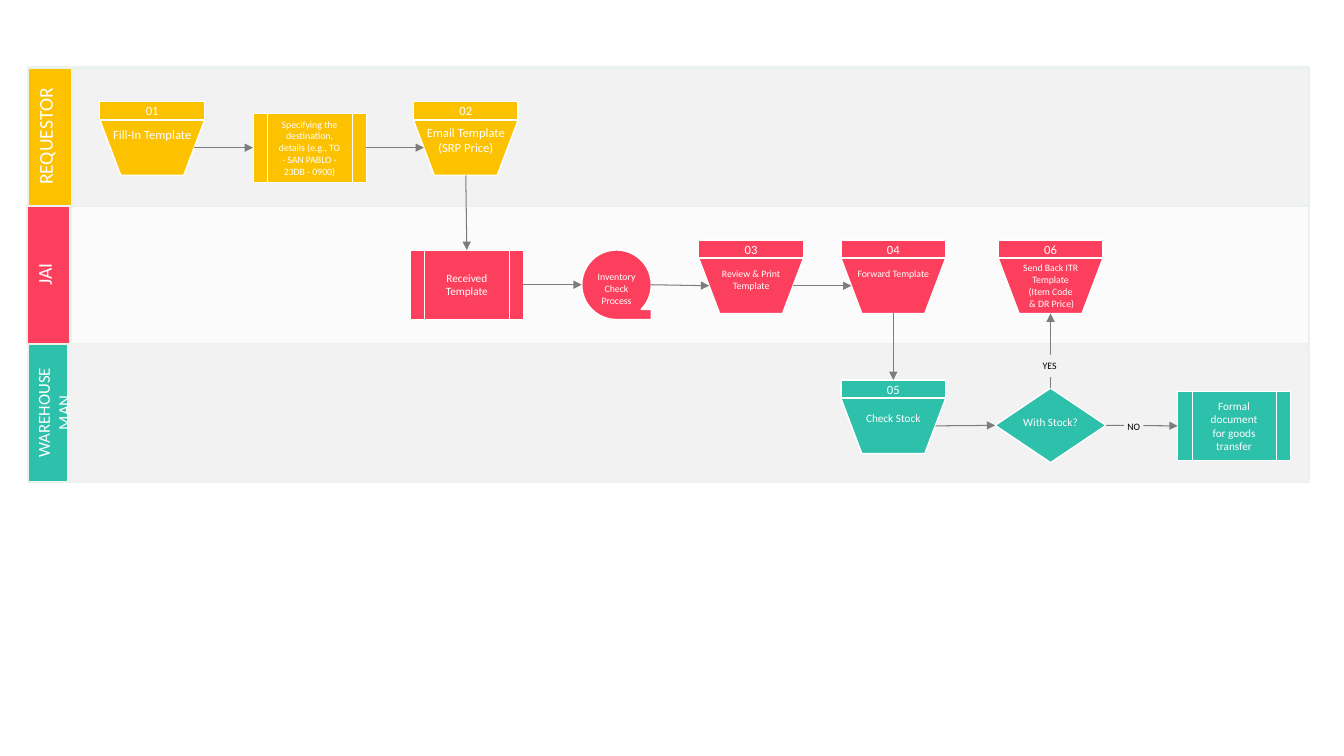
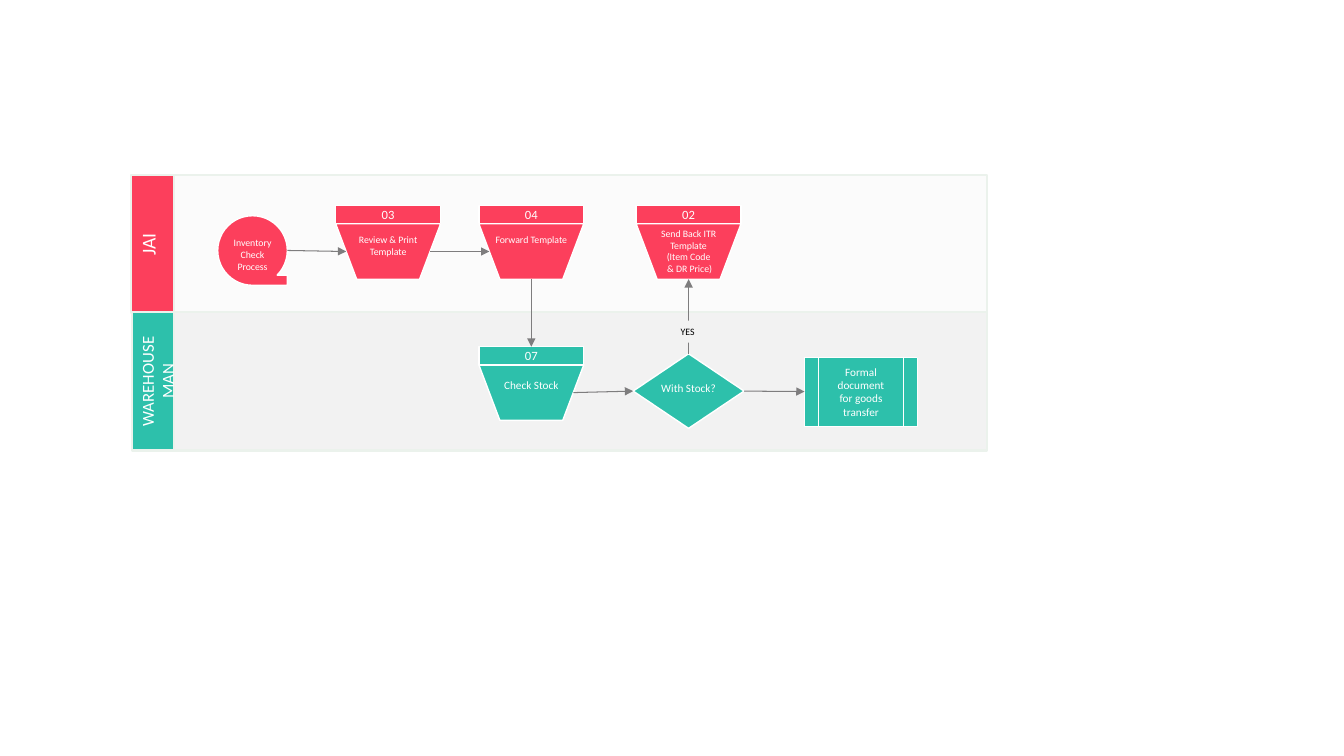
from dataclasses import dataclass
from enum import IntEnum

from lxml.etree import SubElement
from pptx import Presentation
from pptx.dml.color import RGBColor
from pptx.enum.shapes import MSO_CONNECTOR, MSO_SHAPE
from pptx.enum.text import MSO_ANCHOR, PP_ALIGN
from pptx.oxml.ns import qn
from pptx.util import Inches, Pt

FONT = "Calibri"
YELLOW = RGBColor(0xFC, 0xC2, 0x00)
RED = RGBColor(0xFC, 0x3F, 0x5C)
TEAL = RGBColor(0x2D, 0xC0, 0xAB)
WHITE = RGBColor(0xFF, 0xFF, 0xFF)
BLACK = RGBColor(0x00, 0x00, 0x00)
GRAY = RGBColor(0x7E, 0x7D, 0x7E)
LANE_EDGE = RGBColor(0xEB, 0xF2, 0xEC)
LANE_GRAY = RGBColor(0xF2, 0xF2, 0xF2)
LANE_LIGHT = RGBColor(0xFB, 0xFB, 0xFB)

STEP = MSO_SHAPE.FLOWCHART_MANUAL_OPERATION
PROCESS = MSO_SHAPE.FLOWCHART_PREDEFINED_PROCESS
TAPE = MSO_SHAPE.FLOWCHART_SEQUENTIAL_ACCESS_STORAGE
DECISION = MSO_SHAPE.FLOWCHART_DECISION

NODE_SIZE = {STEP: (1.04, 0.55), PROCESS: (1.12, 0.69),
             TAPE: (0.69, 0.69), DECISION: (1.1, 0.74)}
HEADER_HEIGHT = 0.18
LANE_HEIGHT = 1.37


class Side(IntEnum):
    """Connection sites, in the order the preset shapes number them."""
    TOP = 0
    LEFT = 1
    BOTTOM = 2
    RIGHT = 3


@dataclass
class Lane:
    name: str
    color: RGBColor
    back: RGBColor
    size: float
    top: float
    label_left: float
    label_width: float
    band_left: float
    band_right: float


@dataclass
class Node:
    """A flowchart symbol; text_drop moves its caption below its top edge."""
    key: str
    kind: MSO_SHAPE
    left: float
    top: float
    color: RGBColor
    lines: list[str]
    size: float
    text_drop: float = 0
    number: str = ""

    def site(self, side: Side):
        width, height = NODE_SIZE[self.kind]
        slant = width / 10 if self.kind == STEP else 0
        header = HEADER_HEIGHT if self.number else 0
        middle_x, middle_y = self.left + width / 2, self.top + height / 2
        return {Side.TOP: (middle_x, self.top - header),
                Side.LEFT: (self.left + slant, middle_y),
                Side.BOTTOM: (middle_x, self.top + height),
                Side.RIGHT: (self.left + width - slant, middle_y)}[side]


@dataclass
class Arrow:
    start: str
    end: str
    start_side: Side = Side.RIGHT
    end_side: Side = Side.LEFT


@dataclass
class Tag:
    text: str
    left: float
    top: float
    width: float
    inset: float = 0.1


@dataclass
class Flow:
    lanes: list[Lane]
    nodes: list[Node]
    arrows: list[Arrow]
    tags: list[Tag]


def write(shape, lines: list[str], size: float, color: RGBColor = WHITE,
          anchor=MSO_ANCHOR.TOP, inset: float = 0.1) -> None:
    frame = shape.text_frame
    frame.word_wrap = True
    frame.vertical_anchor = anchor
    frame.margin_left = frame.margin_right = Inches(inset)
    for index, line in enumerate(lines):
        para = frame.add_paragraph() if index else frame.paragraphs[0]
        para.alignment = PP_ALIGN.CENTER
        span = para.add_run()
        span.text = line
        span.font.name = FONT
        span.font.size = Pt(size)
        span.font.color.rgb = color


def add_box(page, kind, left: float, top: float, width: float, height: float,
            fill: RGBColor, edge: RGBColor | None = None, weight: float = 1):
    box = page.shapes.add_shape(kind, Inches(left), Inches(top),
                                Inches(width), Inches(height))
    box.shadow.inherit = False
    box.fill.solid()
    box.fill.fore_color.rgb = fill
    if edge is None:
        box.line.fill.background()
    else:
        box.line.color.rgb = edge
        box.line.width = Pt(weight)
    return box


def add_lane(page, lane: Lane) -> None:
    add_box(page, MSO_SHAPE.RECTANGLE, lane.band_left, lane.top,
            lane.band_right - lane.band_left, LANE_HEIGHT,
            lane.back, LANE_EDGE, 1.5)
    label = add_box(page, MSO_SHAPE.RECTANGLE, lane.label_left, lane.top,
                    lane.label_width, LANE_HEIGHT, lane.color, LANE_EDGE, 1.5)
    write(label, [lane.name], lane.size)
    label.element.find(".//" + qn("a:bodyPr")).set("vert", "vert270")


def add_node(page, node: Node):
    """Draws the symbol and returns the shapes its four sites belong to."""
    width, height = NODE_SIZE[node.kind]
    weight = 0.25 if node.kind == PROCESS else 1
    body = add_box(page, node.kind, node.left, node.top, width, height,
                   node.color, WHITE, weight)
    owners = {side: body for side in Side}
    if node.number:
        header = add_box(page, MSO_SHAPE.RECTANGLE, node.left,
                         node.top - HEADER_HEIGHT, width, HEADER_HEIGHT,
                         node.color, WHITE)
        header.text_frame.margin_top = header.text_frame.margin_bottom = 0
        write(header, [node.number], 9, anchor=MSO_ANCHOR.MIDDLE)
        owners[Side.TOP] = header
    if node.kind == PROCESS:
        write(body, node.lines, node.size, anchor=MSO_ANCHOR.MIDDLE)
    else:
        caption = page.shapes.add_textbox(
            Inches(node.left), Inches(node.top + node.text_drop),
            Inches(width), Inches(height - node.text_drop))
        write(caption, node.lines, node.size)
    return owners


def add_arrow(page, arrow: Arrow, nodes: dict[str, Node], owners: dict) -> None:
    begin = [Inches(v) for v in nodes[arrow.start].site(arrow.start_side)]
    end = [Inches(v) for v in nodes[arrow.end].site(arrow.end_side)]
    line = page.shapes.add_connector(MSO_CONNECTOR.STRAIGHT, *begin, *end)
    line.begin_connect(owners[arrow.start][arrow.start_side], arrow.start_side)
    line.end_connect(owners[arrow.end][arrow.end_side], arrow.end_side)
    # Slanted sides meet the line inside the bounding box
    line.begin_x, line.begin_y = begin
    line.end_x, line.end_y = end
    line.line.color.rgb = GRAY
    line.line.width = Pt(0.75)
    properties = line.element.spPr
    SubElement(properties.find(qn("a:ln")), qn("a:tailEnd"), type="triangle")
    SubElement(properties, qn("a:effectLst"))


def add_flow(deck, flow: Flow) -> None:
    page = deck.slides.add_slide(deck.slide_layouts[6])
    for lane in flow.lanes:
        add_lane(page, lane)
    nodes = {node.key: node for node in flow.nodes}
    owners = {key: add_node(page, node) for key, node in nodes.items()}
    for arrow in flow.arrows:
        add_arrow(page, arrow, nodes, owners)
    for tag in flow.tags:
        box = add_box(page, MSO_SHAPE.RECTANGLE, tag.left, tag.top,
                      tag.width, 0.22, LANE_GRAY)
        write(box, [tag.text], 7, BLACK, inset=tag.inset)


# Symbols and arrows that both flows use
def inventory(left: float, top: float) -> Node:
    return Node("inventory", TAPE, left, top, RED,
                ["Inventory Check Process"], 7, 0.16)


def review(left: float, top: float) -> Node:
    return Node("review", STEP, left, top, RED,
                ["Review & Print", "Template"], 7, 0.05, "03")


def forward(left: float, top: float) -> Node:
    return Node("forward", STEP, left, top, RED,
                ["Forward Template"], 7, 0.05, "04")


def send_back(left: float, top: float, number: str) -> Node:
    return Node("send", STEP, left, top, RED,
                ["Send Back ITR", "Template", "(Item Code", " & DR Price)"],
                7, -0.01, number)


def check(left: float, top: float, number: str) -> Node:
    return Node("check", STEP, left, top, TEAL,
                ["Check Stock"], 8, 0.08, number)


def stock(left: float, top: float) -> Node:
    return Node("stock", DECISION, left, top, TEAL, ["With Stock?"], 8, 0.22)


def transfer(left: float, top: float) -> Node:
    return Node("transfer", PROCESS, left, top, TEAL,
                ["Formal document", "for goods transfer"], 8)


SHARED_ARROWS = [
    Arrow("inventory", "review"),
    Arrow("review", "forward"),
    Arrow("forward", "check", Side.BOTTOM, Side.TOP),
    Arrow("check", "stock"),
    Arrow("stock", "send", Side.TOP, Side.BOTTOM),
    Arrow("stock", "transfer"),
]

FULL_FLOW = Flow(
    lanes=[
        Lane("REQUESTOR", YELLOW, LANE_GRAY, 14, 0.67, 0.28, 0.44, 0.35, 12.98),
        Lane("JAI", RED, LANE_LIGHT, 14, 2.04, 0.27, 0.43, 0.34, 12.98),
        Lane("WAREHOUSE MAN", TEAL, LANE_GRAY, 12, 3.41, 0.28, 0.4, 0.35, 12.98),
    ],
    nodes=[
        Node("fill", STEP, 0.99, 1.19, YELLOW, ["Fill-In Template"], 9, 0.02, "01"),
        Node("details", PROCESS, 2.51, 1.12, YELLOW,
             ["Specifying the destination, details "
              "(e.g., TO - SAN PABLO - 23DB - 0900)"], 7),
        Node("email", STEP, 4.1, 1.19, YELLOW,
             ["Email Template", "(SRP Price)"], 9, 0, "02"),
        Node("received", PROCESS, 4.07, 2.48, RED, ["Received Template"], 8),
        inventory(5.77, 2.48), review(6.93, 2.56), forward(8.34, 2.56),
        send_back(9.9, 2.56, "06"), check(8.34, 3.95, "05"),
        stock(9.87, 3.85), transfer(11.68, 3.88),
    ],
    arrows=[
        Arrow("fill", "details"),
        Arrow("details", "email"),
        Arrow("email", "received", Side.BOTTOM, Side.TOP),
        Arrow("received", "inventory"),
        *SHARED_ARROWS,
    ],
    tags=[Tag("YES", 10.2, 3.52, 0.42), Tag("NO", 11.15, 4.12, 0.19, 0)],
)

STOCK_FLOW = Flow(
    lanes=[
        Lane("JAI", RED, LANE_LIGHT, 14, 1.74, 1.3, 0.43, 1.37, 9.79),
        Lane("WAREHOUSE MAN", TEAL, LANE_GRAY, 12, 3.1, 1.31, 0.42, 1.38, 9.79),
    ],
    nodes=[
        inventory(2.16, 2.14), review(3.33, 2.22), forward(4.75, 2.22),
        send_back(6.31, 2.22, "02"), check(4.75, 3.62, "07"),
        stock(6.28, 3.51), transfer(7.98, 3.54),
    ],
    arrows=SHARED_ARROWS,
    tags=[Tag("YES", 6.61, 3.18, 0.42)],
)


def main() -> None:
    deck = Presentation()
    deck.slide_width, deck.slide_height = Inches(13.33), Inches(7.5)
    for flow in (FULL_FLOW, STOCK_FLOW):
        add_flow(deck, flow)
    deck.save("out.pptx")


if __name__ == "__main__":
    main()
